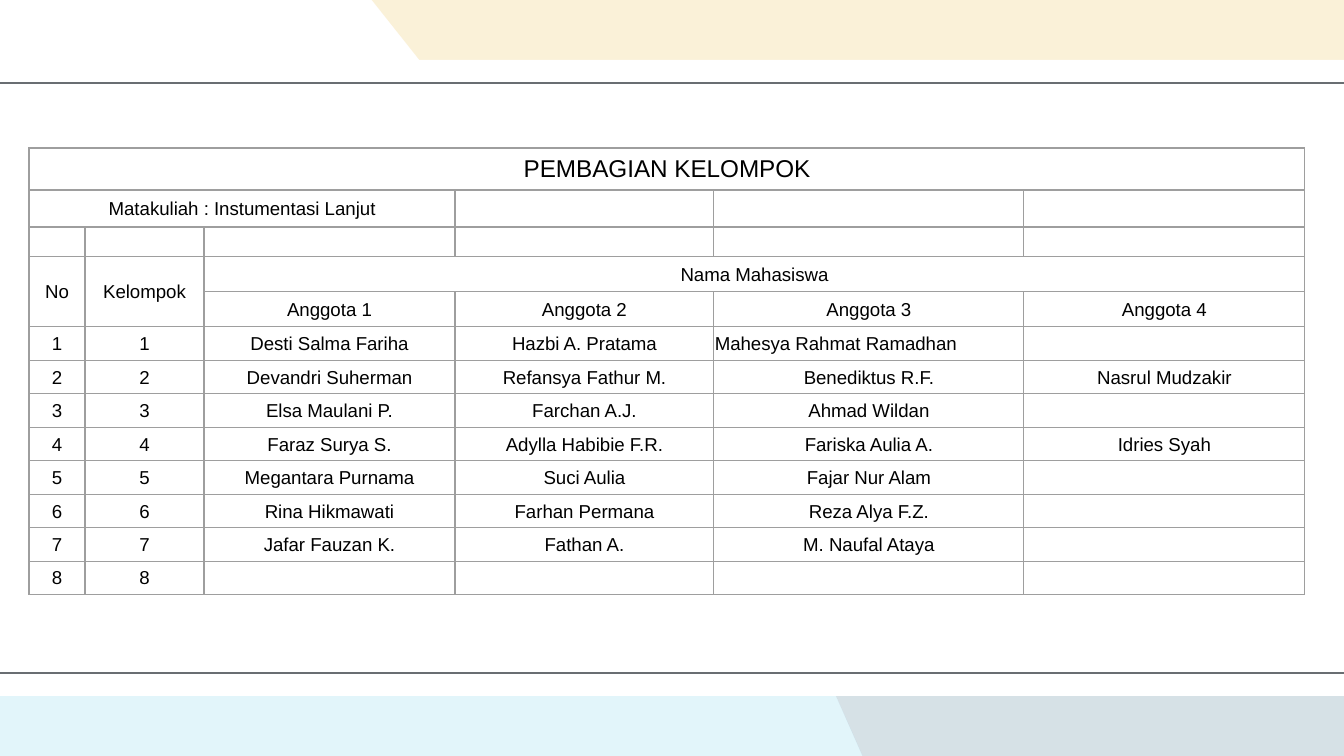
from lxml.etree import SubElement
from pptx import Presentation
from pptx.dml.color import RGBColor
from pptx.enum.shapes import MSO_CONNECTOR, MSO_SHAPE
from pptx.enum.text import MSO_ANCHOR, PP_ALIGN
from pptx.oxml.ns import qn
from pptx.util import Pt

PX = 914400 / 134.4

WHITE = RGBColor(0xFF, 0xFF, 0xFF)
BLACK = RGBColor(0x00, 0x00, 0x00)
SLATE = RGBColor(0x96, 0xB3, 0xC1)
CREAM = RGBColor(0xF7, 0xE5, 0xB7)
SKY = RGBColor(0x9E, 0xDD, 0xEF)
RULE = RGBColor(0x69, 0x6E, 0x72)
GRID = RGBColor(0x9E, 0x9E, 0x9E)


def emu(px):
    return round(px * PX)


class Deck:
    font = "Arial"
    line_width = Pt(0.75)

    def __init__(self, width, height):
        self.prs = Presentation()
        self.prs.slide_width, self.prs.slide_height = emu(width), emu(height)
        self.s = self.prs.slides.add_slide(self.prs.slide_layouts[6])

    def paint(self, sp, color, opacity=100):
        sp.shadow.inherit = False
        sp.fill.solid()
        sp.fill.fore_color.rgb = color
        sp.line.fill.background()
        if opacity < 100:
            clr = sp._element.spPr.find(qn("a:solidFill"))[0]
            SubElement(clr, qn("a:alpha"), val=str(opacity * 1000))

    def polygon(self, points, color, opacity):
        builder = self.s.shapes.build_freeform(*points[0], scale=PX)
        builder.add_line_segments(points[1:], close=True)
        self.paint(builder.convert_to_shape(), color, opacity)

    def rect(self, x, y, w, h, color):
        box = map(emu, (x, y, w, h))
        self.paint(self.s.shapes.add_shape(MSO_SHAPE.RECTANGLE, *box), color)

    def line(self, x1, y1, x2, y2, color):
        ends = map(emu, (x1, y1, x2, y2))
        cn = self.s.shapes.add_connector(MSO_CONNECTOR.STRAIGHT, *ends)
        cn.line.color.rgb = color
        cn.line.width = self.line_width
        SubElement(cn._element.spPr, qn("a:effectLst"))

    def table(self, x, y, cols, rows, spans):
        frame = self.s.shapes.add_table(
            len(rows), len(cols), emu(x), emu(y), emu(sum(cols)), emu(sum(rows)))
        table = frame.table
        table.first_row = table.horz_banding = False
        for column, width in zip(table.columns, cols):
            column.width = emu(width)
        for row, height in zip(table.rows, rows):
            row.height = emu(height)
            for cell in row.cells:
                self.style_cell(cell)
        for top, left, bottom, right in spans:
            table.cell(top, left).merge(table.cell(bottom, right))
        return table

    def style_cell(self, cell):
        cell.vertical_anchor = MSO_ANCHOR.MIDDLE
        cell.margin_left = cell.margin_right = cell.margin_top = emu(1)
        cell.margin_bottom = 0
        tc_pr = cell._tc.get_or_add_tcPr()
        for side in ("lnL", "lnR", "lnT", "lnB"):
            ln = SubElement(tc_pr, qn(f"a:{side}"), w=str(int(self.line_width)))
            fill = SubElement(ln, qn("a:solidFill"))
            SubElement(fill, qn("a:srgbClr"), val=str(GRID))
        cell.fill.background()
        self.cell_text(cell, "")

    def cell_text(self, cell, text, size=10, align=PP_ALIGN.CENTER):
        p = cell.text_frame.paragraphs[0]
        p.text = text
        p.alignment = align
        p.font.name = self.font
        p.font.size = Pt(size)
        p.font.color.rgb = BLACK


deck = Deck(1344, 756)

# Background bands, seen above and below the white panel
deck.polygon([(1361, 802), (1361, 302), (723, 441), (882, 800)], SLATE, 39)
deck.polygon([(1361, 302), (1361, -11), (363, -11), (722, 441)], CREAM, 53)
deck.polygon([(884, 804), (720, 435), (-7, 317), (-7, 805)], SKY, 29)
deck.rect(-4, 60, 1351, 636, WHITE)
for rule_y in (83, 673):
    deck.line(-16, rule_y, 1349, rule_y, RULE)

# Group table: title, course, spacer, two heading rows and eight groups
members = [
    ["Desti Salma Fariha", "Hazbi A. Pratama", "Mahesya Rahmat Ramadhan"],
    ["Devandri Suherman", "Refansya Fathur M.", "Benediktus R.F.", "Nasrul Mudzakir"],
    ["Elsa Maulani P.", "Farchan A.J.", "Ahmad Wildan"],
    ["Faraz Surya S.", "Adylla Habibie F.R.", "Fariska Aulia A.", "Idries Syah"],
    ["Megantara Purnama", "Suci Aulia", "Fajar Nur Alam"],
    ["Rina Hikmawati", "Farhan Permana", "Reza Alya F.Z."],
    ["Jafar Fauzan K.", "Fathan A.", "M. Naufal Ataya"],
    [],
]
table = deck.table(
    29, 148,
    cols=[56, 119, 251, 259, 310, 281],
    rows=[42, 37, 30, 35, 35] + [34, 33] * 4,
    spans=[(0, 0, 0, 5), (1, 0, 1, 2), (3, 0, 4, 0), (3, 1, 4, 1), (3, 2, 3, 5)],
)
deck.cell_text(table.cell(0, 0), "PEMBAGIAN KELOMPOK", size=13)
deck.cell_text(table.cell(1, 0), "Matakuliah : Instumentasi Lanjut")
for c, heading in enumerate(["No", "Kelompok", "Nama Mahasiswa"]):
    deck.cell_text(table.cell(3, c), heading)
for n in range(1, 5):
    deck.cell_text(table.cell(4, n + 1), f"Anggota {n}")
for n, names in enumerate(members, 1):
    for c, text in enumerate([str(n), str(n), *names]):
        deck.cell_text(table.cell(n + 4, c), text)

# The longest name is set flush left
deck.cell_text(table.cell(5, 4), members[0][2], align=PP_ALIGN.LEFT)

deck.prs.save("out.pptx")
